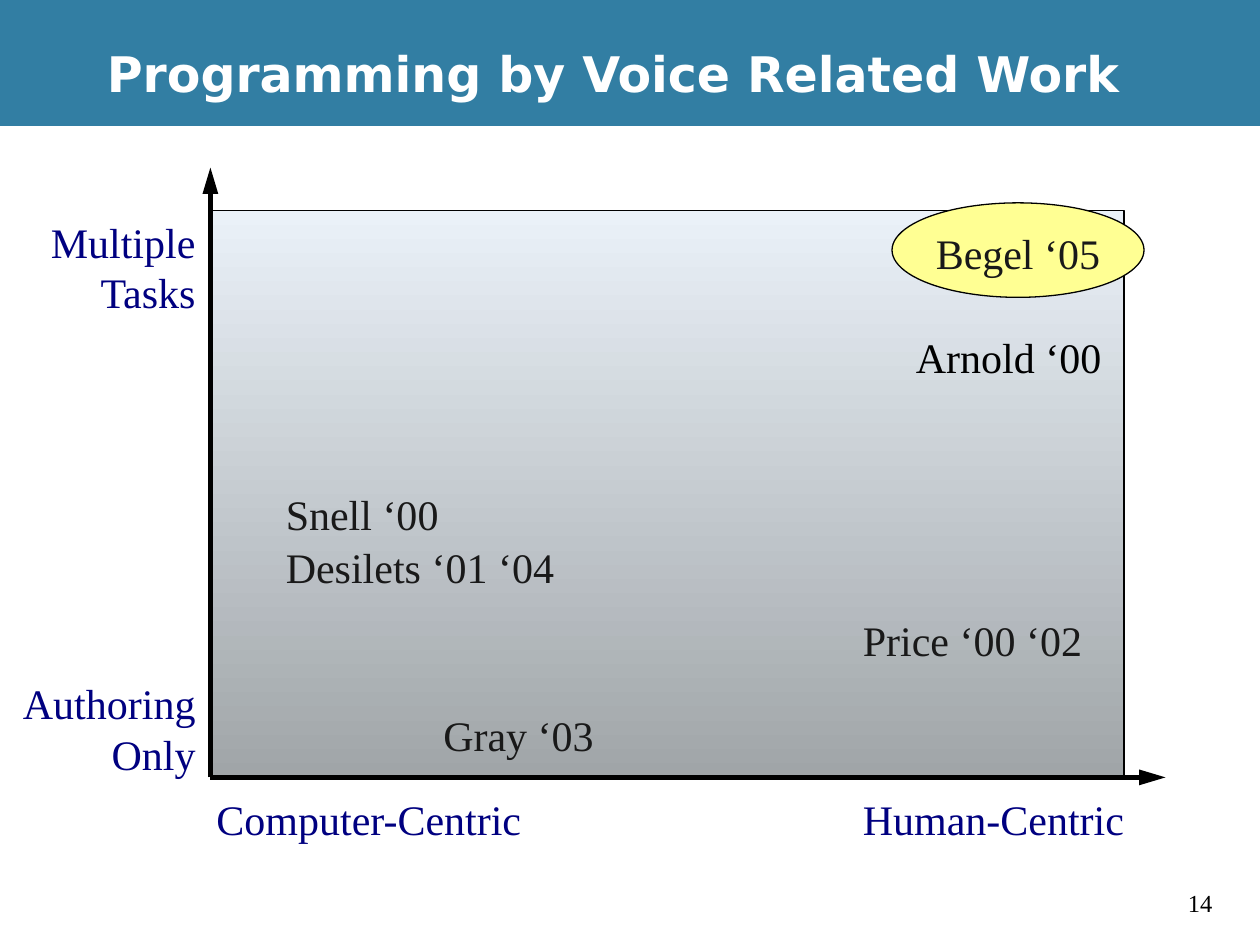
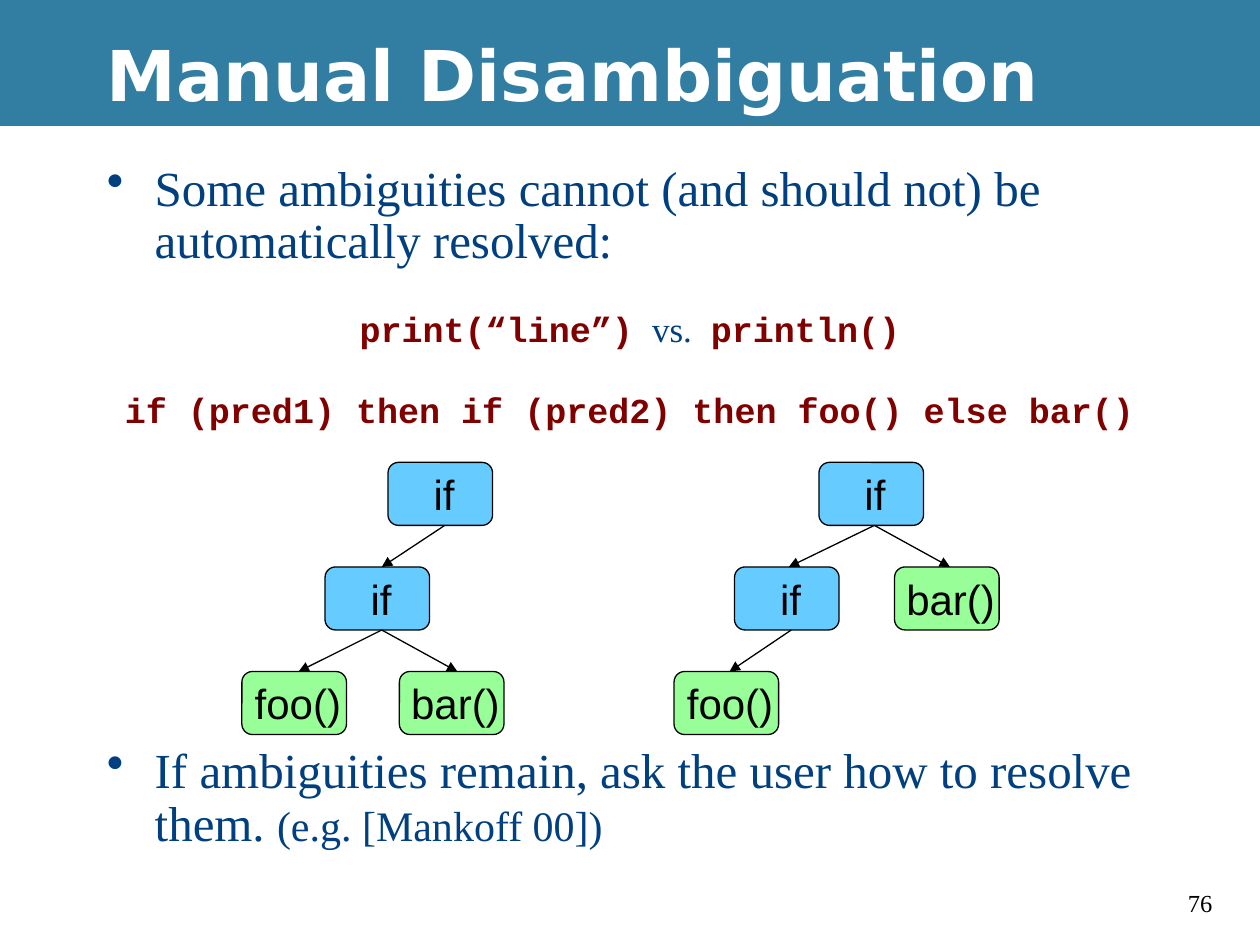
from lxml import etree
from pptx import Presentation
from pptx.dml.color import RGBColor
from pptx.enum.shapes import MSO_CONNECTOR, MSO_SHAPE
from pptx.enum.text import MSO_ANCHOR, PP_ALIGN
from pptx.oxml.ns import qn
from pptx.util import Inches, Pt

BLACK = RGBColor(0, 0, 0)
WHITE = RGBColor(255, 255, 255)
TEAL = RGBColor(0x32, 0x7E, 0xA3)
NAVY = RGBColor(0, 0, 0x80)
BLUE = RGBColor(0, 0x40, 0x80)
MAROON = RGBColor(0x80, 0, 0)
DARK = RGBColor(0x19, 0x19, 0x19)
YELLOW = RGBColor(0xFF, 0xFF, 0x93)
SKY = RGBColor(0x66, 0xCC, 0xFF)
MINT = RGBColor(0x98, 0xFF, 0x98)
PALE = RGBColor(0xEA, 0xF1, 0xF8)
GREY = RGBColor(0xA0, 0xA5, 0xA8)

SERIF, SANS, MONO, HEAD = "Times New Roman", "Arial", "Courier New", "DejaVu Sans"
LEFT, CENTER, RIGHT = PP_ALIGN.LEFT, PP_ALIGN.CENTER, PP_ALIGN.RIGHT
MIDDLE = MSO_ANCHOR.MIDDLE
RECT, OVAL, NODE = MSO_SHAPE.RECTANGLE, MSO_SHAPE.OVAL, MSO_SHAPE.FLOWCHART_ALTERNATE_PROCESS
STRAIGHT = MSO_CONNECTOR.STRAIGHT


def write(shape, text, size, color, font=SERIF, align=LEFT, bold=False, bullet=False):
    frame = shape.text_frame
    frame.word_wrap = True
    frame.text = text
    for para in frame.paragraphs:
        if bullet:
            props = para._p.get_or_add_pPr()
            props.set("marL", str(Inches(0.38)))
            props.set("indent", str(-Inches(0.38)))
            etree.SubElement(props, qn("a:buChar"), char="•")
        para.alignment = align
        para.font.size = Pt(size)
        para.font.name = font
        para.font.bold = bold
        para.font.color.rgb = color
    return frame


def arrow(slide, start, end, width, length):
    line = slide.shapes.add_connector(STRAIGHT, *map(Inches, start + end))
    line.line.color.rgb = BLACK
    line.line.width = Pt(width)
    etree.SubElement(line.line._get_or_add_ln(), qn("a:tailEnd"), type="triangle", len=length)
    etree.SubElement(line._element.spPr, qn("a:effectLst"))


deck = Presentation()
deck.slide_width, deck.slide_height = Inches(10), Inches(7.5)
slides = []
for title, size, page in [
    ("Programming by Voice Related Work", 28, "14"),
    ("Manual Disambiguation", 40, "76"),
]:
    slide = deck.slides.add_slide(deck.slide_layouts[6])
    slide.background.fill.solid()
    slide.background.fill.fore_color.rgb = BLACK
    for top, height, color in [(1, 6.5, WHITE), (0, 1, TEAL)]:
        band = slide.shapes.add_shape(RECT, 0, Inches(top), Inches(10), Inches(height))
        band.shadow.inherit = False
        band.fill.solid()
        band.fill.fore_color.rgb = color
        band.line.fill.background()
    box = slide.shapes.add_textbox(Inches(0.75), Inches(0.08), Inches(9.25), Inches(1))
    write(box, title, size, WHITE, HEAD, bold=True).vertical_anchor = MIDDLE
    box = slide.shapes.add_textbox(Inches(9.33), Inches(7), Inches(0.5), Inches(0.33))
    write(box, page, 14, BLACK)
    slides.append(slide)
chart, trees = slides

plot = chart.shapes.add_shape(RECT, Inches(1.67), Inches(1.67), Inches(7.25), Inches(4.5))
plot.shadow.inherit = False
plot.fill.gradient()
plot.fill.gradient_angle = 270
for stop, color in zip(plot.fill.gradient_stops, (PALE, GREY)):
    stop.color.rgb = color
plot.line.color.rgb = BLACK
plot.line.width = Pt(0.75)
for end in [(9.25, 6.17), (1.67, 1.33)]:
    arrow(chart, (1.67, 6.17), end, 3, "lg")

for text, x, y, width, color, align in [
    ("Human-Centric", 6.75, 6.25, 2.8, NAVY, LEFT),
    ("Computer-Centric", 1.62, 6.25, 2.8, NAVY, LEFT),
    ("Multiple\nTasks", 0, 1.67, 1.65, NAVY, RIGHT),
    ("Authoring\nOnly", 0, 5.33, 1.65, NAVY, RIGHT),
    ("Arnold ‘00", 7.17, 2.58, 2, BLACK, LEFT),
    ("Snell ‘00", 2.17, 3.83, 2, DARK, LEFT),
    ("Price ‘00 ‘02", 6.75, 4.83, 2.2, DARK, LEFT),
    ("Desilets ‘01 ‘04", 2.17, 4.25, 2.8, DARK, LEFT),
    ("Gray ‘03", 3.42, 5.58, 2, DARK, LEFT),
]:
    box = chart.shapes.add_textbox(Inches(x), Inches(y), Inches(width), Inches(0.5))
    write(box, text, 24, color, align=align)

nodes = [(trees, NODE, text, x, y, 0.83, 0.5, fill, BLACK, SANS, 0.06, 0) for text, x, y, fill in [
    ("if", 3.08, 3.67, SKY),
    ("if", 2.58, 4.5, SKY),
    ("foo()", 1.92, 5.33, MINT),
    ("bar()", 3.17, 5.33, MINT),
    ("if", 6.5, 3.67, SKY),
    ("if", 5.83, 4.5, SKY),
    ("bar()", 7.1, 4.5, MINT),
    ("foo()", 5.35, 5.33, MINT),
]]
begel = (chart, OVAL, "Begel ‘05", 7.08, 1.61, 2, 0.75, YELLOW, DARK, SERIF, 0, 0.04)
for slide, kind, text, x, y, width, height, fill, color, font, inset, drop in [begel] + nodes:
    node = slide.shapes.add_shape(kind, Inches(x), Inches(y), Inches(width), Inches(height))
    node.shadow.inherit = False
    node.fill.solid()
    node.fill.fore_color.rgb = fill
    node.line.color.rgb = BLACK
    node.line.width = Pt(0.75)
    frame = write(node, text, 24, color, font, CENTER)
    frame.word_wrap = False
    frame.vertical_anchor = MIDDLE
    frame.margin_left = Inches(inset)
    frame.margin_top = Inches(drop)
    frame.margin_right = frame.margin_bottom = 0

for start, end in [
    ((3.53, 4.17), (3.03, 4.5)),
    ((3.03, 5), (2.37, 5.33)),
    ((3.03, 5), (3.63, 5.33)),
    ((6.94, 4.17), (6.26, 4.5)),
    ((6.94, 4.17), (7.54, 4.5)),
    ((6.28, 5), (5.79, 5.33)),
]:
    arrow(trees, start, end, 0.75, "med")

vs = [("print(“line”)", 20, True), (" ", 18, True), ("vs.", 20, False),
      (" ", 18, True), ("println()", 20, True)]
nested = [("if (pred1) then if (pred2) then foo() else bar()", 20, True)]
for runs, y in [(vs, 2.43), (nested, 3.07)]:
    box = trees.shapes.add_textbox(Inches(0.75), Inches(y), Inches(8.5), Inches(0.4))
    para = write(box, "", 20, MAROON, MONO, CENTER, True).paragraphs[0]
    para.line_spacing = 0.9
    for text, size, code in runs:
        run = para.add_run()
        run.text = text
        run.font.size = Pt(size)
        if not code:
            run.font.name = SERIF
            run.font.bold = False
            run.font.color.rgb = BLUE

for text, cite, y in [
    ("Some ambiguities cannot (and should not) be automatically resolved:", "", 1.25),
    ("If ambiguities remain, ask the user how to resolve them. ", "(e.g. [Mankoff 00])", 5.87),
]:
    box = trees.shapes.add_textbox(Inches(0.75), Inches(y), Inches(8.5), Inches(1))
    para = write(box, text, 28, BLUE, bullet=True).paragraphs[0]
    para.line_spacing = 0.9
    if cite:
        run = para.add_run()
        run.text = cite
        run.font.size = Pt(24)

deck.save("out.pptx")
